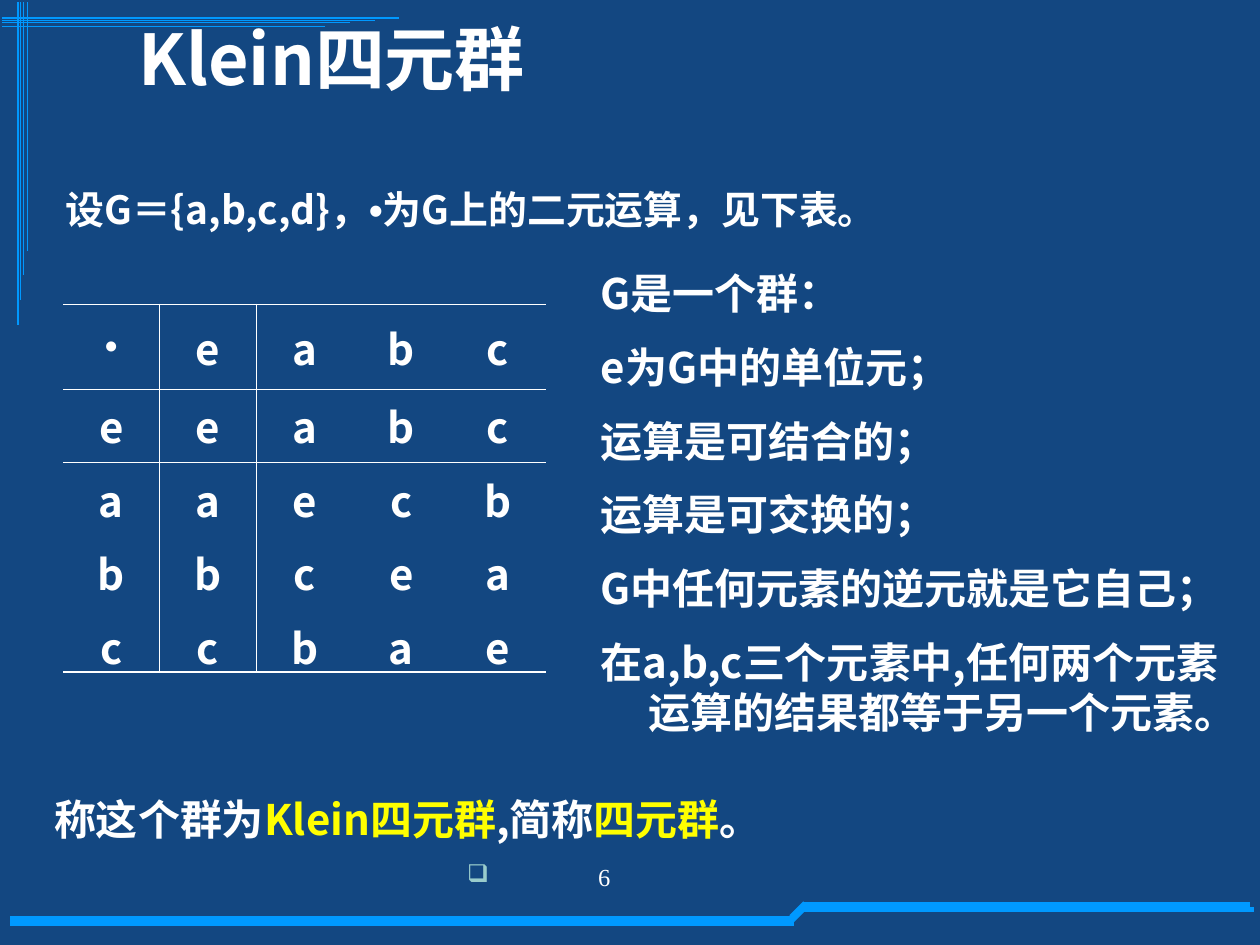
"""Build the slide on the Klein four-group with its operation table."""
from dataclasses import dataclass

from lxml.etree import SubElement
from pptx import Presentation
from pptx.dml.color import RGBColor
from pptx.enum.shapes import MSO_CONNECTOR as Connector
from pptx.enum.text import MSO_ANCHOR as Anchor, PP_ALIGN as Align
from pptx.oxml.ns import qn
from pptx.util import Cm, Pt


@dataclass(frozen=True)
class Theme:
    """Colours, fonts and sizes of the slide."""
    background: str = "134781"
    accent: str = "0099FF"
    text: str = "FFFFFF"
    highlight: str = "FFFF00"
    bullet: str = "99CCCC"
    font: str = "Noto Sans CJK SC"
    symbol_font: str = "Arial"
    number_font: str = "Times New Roman"
    title: float = 40
    intro: float = 22.2
    body: float = 24
    symbol: float = 20
    number: float = 14
    space_before: float = 13.5
    line_pitch: float = 28.6
    rule: float = 1.08
    hairline: float = 0.45


THEME = Theme()
HANGING = 0.97

TITLE = "Klein四元群"
INTRO = [("设G＝{a,b,c,d}，", {}), ("•", {"font": THEME.symbol_font}), ("为G上的二元运算，见下表。", {})]
PROPERTIES = [
    "G是一个群：",
    "e为G中的单位元；",
    "运算是可结合的；",
    "运算是可交换的；",
    "G中任何元素的逆元就是它自己；",
    "在a,b,c三个元素中,任何两个元素运算的结果都等于另一个元素。",
]
CONCLUSION = [
    ("称这个群为", {}),
    ("Klein四元群", {"color": THEME.highlight}),
    (",简称", {}),
    ("四元群", {"color": THEME.highlight}),
    ("。", {}),
]
PAGE_NUMBER = "6"
OPERATION = ["•eabc", "eeabc", "aaecb", "bbcea", "ccbae"]
ROW_HEIGHTS = [1.7, 1.48, 1.48, 1.48, 1.27]
TABLE_BOX = (1.27, 6.14, 9.74, sum(ROW_HEIGHTS))

FOOTER_LINES = [
    (0.2, 18.52, 16, 18.52), (0.2, 18.62, 16, 18.62),
    (15.95, 18.49, 16.23, 18.21), (15.93, 18.59, 16.21, 18.31),
    (16.18, 18.24, 25.2, 18.24), (16.18, 18.34, 25.27, 18.34),
]
TOP_OFFSETS = [0.36, 0.41, 0.46, 0.53]
LEFT_OFFSETS = [0.36, 0.41, 0.48, 0.56]
CORNER_LINES = [(0.05, y, 8.05 - 0.5 * i, y) for i, y in enumerate(TOP_OFFSETS)]
CORNER_LINES += [(x, 0.05, x, 6.55 - 0.5 * i) for i, x in enumerate(LEFT_OFFSETS)]


def add_line(slide, ends, width):
    connector = slide.shapes.add_connector(Connector.STRAIGHT, *map(Cm, ends))
    connector.line.color.rgb = RGBColor.from_string(THEME.accent)
    connector.line.width = Pt(width)
    SubElement(connector._element.spPr, qn("a:effectLst"))


def format_run(run, size, color=THEME.text, font=THEME.font, bold=True):
    run.font.size = Pt(size)
    run.font.bold = bold
    run.font.color.rgb = RGBColor.from_string(color)
    run.font.name = font
    SubElement(run.font._element, qn("a:ea"), typeface=font)


def set_indent(paragraph, margin, indent):
    properties = paragraph._p.get_or_add_pPr()
    properties.set("marL", str(Cm(margin)))
    properties.set("indent", str(Cm(indent)))
    return properties


def add_text(slide, box, paragraphs, size, anchor=Anchor.TOP, hanging=0.0, space=0.0):
    frame = slide.shapes.add_textbox(*map(Cm, box)).text_frame
    frame.word_wrap = True
    frame.vertical_anchor = anchor
    for index, parts in enumerate(paragraphs):
        paragraph = frame.add_paragraph() if index else frame.paragraphs[0]
        set_indent(paragraph, hanging, -hanging)
        paragraph.space_before = Pt(space)
        for text, style in parts:
            run = paragraph.add_run()
            run.text = text
            format_run(run, size, **style)
    return frame


def add_border(cell, side, width):
    border = SubElement(cell._tc.get_or_add_tcPr(), qn(f"a:ln{side}"), w=str(Pt(width)))
    fill = SubElement(border, qn("a:solidFill"))
    SubElement(fill, qn("a:srgbClr"), val=THEME.text)


def cell_borders(row, column):
    last = len(OPERATION) - 1
    edges = {
        "L": THEME.hairline if column == 1 else None,
        "R": THEME.hairline if column == 0 else None,
        "T": {0: THEME.rule, 1: THEME.hairline}.get(row),
        "B": {0: THEME.hairline, last: THEME.rule}.get(row),
    }
    return [(side, width) for side, width in edges.items() if width]


def add_operation_table(slide):
    size = len(OPERATION)
    table = slide.shapes.add_table(size, size, *map(Cm, TABLE_BOX)).table
    table.first_row = table.horz_banding = False
    style = table._tbl.tblPr.find(qn("a:tableStyleId"))
    style.text = "{2D5ABB26-0587-4C30-8999-92F81FD0307C}"
    for column in table.columns:
        column.width = Cm(TABLE_BOX[2] / size)
    for row, (symbols, height) in enumerate(zip(OPERATION, ROW_HEIGHTS)):
        table.rows[row].height = Cm(height)
        for column, symbol in enumerate(symbols):
            cell = table.cell(row, column)
            cell.text_frame.text = symbol
            cell.vertical_anchor = Anchor.MIDDLE
            paragraph = cell.text_frame.paragraphs[0]
            paragraph.alignment = Align.CENTER
            paragraph.space_before = Pt(THEME.space_before)
            if symbol == "•":
                format_run(paragraph.runs[0], THEME.symbol, font=THEME.symbol_font)
            else:
                format_run(paragraph.runs[0], THEME.body)
            for side, width in cell_borders(row, column):
                add_border(cell, side, width)
            cell.fill.background()


def add_page_number(slide):
    style = {"font": THEME.number_font, "bold": False}
    frame = add_text(slide, (7.9, 17.32, 5.92, 1.32), [[(PAGE_NUMBER, style)]], THEME.number)
    paragraph = frame.paragraphs[0]
    paragraph.line_spacing = 0.9
    paragraph.space_before = Pt(7.9)
    properties = set_indent(paragraph, 3.91, -2.64)
    color = SubElement(properties, qn("a:buClr"))
    SubElement(color, qn("a:srgbClr"), val=THEME.bullet)
    SubElement(properties, qn("a:buChar"), char="❑")


def main():
    presentation = Presentation()
    presentation.slide_width, presentation.slide_height = Cm(25.4), Cm(19.05)
    slide = presentation.slides.add_slide(presentation.slide_layouts[6])
    slide.background.fill.solid()
    slide.background.fill.fore_color.rgb = RGBColor.from_string(THEME.background)
    for ends in FOOTER_LINES:
        add_line(slide, ends, 3)
    for ends in CORNER_LINES:
        add_line(slide, ends, 0.75)
    add_page_number(slide)
    add_text(slide, (2.54, 0.2, 22.86, 1.9), [[(TITLE, {})]], THEME.title, Anchor.MIDDLE)
    add_text(slide, (1.07, 3.61, 19.25, 1.7), [INTRO], THEME.intro,
             hanging=HANGING, space=THEME.space_before)
    add_operation_table(slide)
    properties = add_text(slide, (11.86, 5.28, 13.54, 10.16), [[(text, {})] for text in PROPERTIES],
                          THEME.body, hanging=HANGING, space=THEME.space_before)
    for paragraph in properties.paragraphs:
        paragraph.line_spacing = Pt(THEME.line_pitch)
    add_text(slide, (0.84, 15.88, 23.06, 1.27), [CONCLUSION], THEME.body, space=THEME.space_before)
    presentation.save("out.pptx")


if __name__ == "__main__":
    main()
